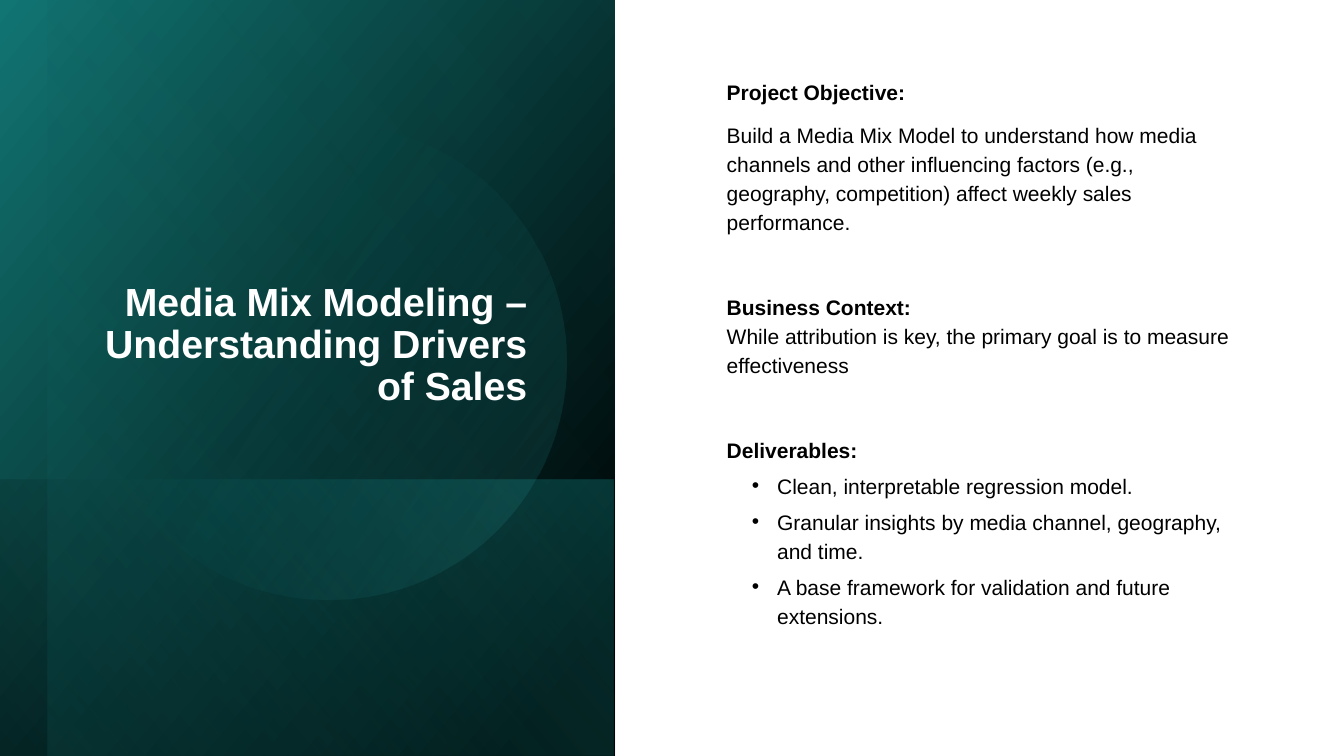
import pptx
import pptx.util
import pptx.dml.color
import pptx.enum.shapes
import pptx.enum.text
import pptx.oxml
import pptx.oxml.ns
import lxml.etree

Pt = pptx.util.Pt
SHAPES = pptx.enum.shapes.MSO_SHAPE
ALIGN = pptx.enum.text.PP_ALIGN
ANCHOR = pptx.enum.text.MSO_ANCHOR
FONT = "Arial"
COLORS = {
    "black": "000000", "white": "FFFFFF", "deep": "117573",
    "teal": "169C9A", "glow": "50E6E4",
}
PANELS = [
    (SHAPES.RECTANGLE, (-50.4, 50.4, 540, 439.2), 90, True, 50,
     [(8, "black", 100), (100, "deep", 100)]),
    (SHAPES.RECTANGLE, (120.24, 221.76, 197.28, 439.2), 90, True, 130,
     [(2, "teal", 29), (100, "black", 30)]),
    (SHAPES.RECTANGLE, (-33.12, 66.96, 540, 405.36), 90, True, 130,
     [(0, "black", 0), (99, "teal", 11)]),
    (SHAPES.OVAL, (64.8, 88.56, 339.84, 339.84), 101.6, False, 290,
     [(39, "teal", 0), (100, "glow", 15)]),
]
LINES = [
    ("Project Objective:", "head", 10),
    ("Build a Media Mix Model to understand how media channels and other "
     "influencing factors (e.g., geography, competition) affect weekly sales "
     "performance.", "text", 10),
    ("Business Context:\vWhile attribution is key, the primary goal is to "
     "measure effectiveness", "head", 40),
    ("Deliverables:", "head", 40),
    ("Clean, interpretable regression model.", "item", 5),
    ("Granular insights by media channel, geography, and time.", "item", 5),
    ("A base framework for validation and future extensions.", "item", 5),
]


def tint(name):
    return pptx.dml.color.RGBColor.from_string(COLORS[name])


def place(shape, box):
    shape.left, shape.top, shape.width, shape.height = map(Pt, box)


def style(run, size, color, bold):
    font = run.font
    font.name, font.size, font.bold = FONT, Pt(size), bold
    font.color.rgb = tint(color)


def add_panel(slide, kind, box, turn, flip, angle, stops):
    panel = slide.shapes.add_shape(kind, *map(Pt, box))
    panel.shadow.inherit = False
    panel.line.fill.background()
    panel.rotation = turn
    if flip:
        panel._element.spPr.find(pptx.oxml.ns.qn("a:xfrm")).set("flipH", "1")
    panel.fill.gradient()
    panel.fill.gradient_angle = 360 - angle
    marks = panel._element.spPr.iter(pptx.oxml.ns.qn("a:gs"))
    for stop, mark, (spot, color, alpha) in zip(
            panel.fill.gradient_stops, marks, stops):
        stop.position = spot / 100
        stop.color.rgb = tint(color)
        if alpha < 100:
            tag = pptx.oxml.ns.qn("a:alpha")
            lxml.etree.SubElement(mark[0], tag).set("val", str(alpha * 1000))


def set_frame(shape, box, anchor):
    place(shape, box)
    frame = shape.text_frame
    frame.word_wrap = True
    frame.auto_size = pptx.enum.text.MSO_AUTO_SIZE.NONE
    frame.vertical_anchor = anchor
    return frame


def set_title(slide, text):
    frame = set_frame(slide.shapes.title, (52.56, 33.84, 331.2, 262.08),
                      ANCHOR.BOTTOM)
    frame.text = text
    para = frame.paragraphs[0]
    para.alignment = ALIGN.RIGHT
    para.line_spacing = 0.9
    style(para.runs[0], 28, "white", True)


def set_bullet(para, kind):
    props = para._p.get_or_add_pPr()
    item = kind == "item"
    props.set("marL", str(Pt(36 if item else 0)))
    props.set("indent", str(Pt(-18 if item else 0)))
    if item:
        face = lxml.etree.SubElement(props, pptx.oxml.ns.qn("a:buFont"))
        face.set("typeface", FONT)
    tag = pptx.oxml.ns.qn("a:buChar" if item else "a:buNone")
    mark = lxml.etree.SubElement(props, tag)
    if item:
        mark.set("char", "•")


def set_body(slide, lines):
    frame = set_frame(slide.placeholders[1], (511.92, 51.12, 383.04, 437.04),
                      ANCHOR.MIDDLE)
    frame.margin_bottom = Pt(40)
    for place_no, (text, kind, gap) in enumerate(lines):
        para = frame.add_paragraph() if place_no else frame.paragraphs[0]
        para.text = text
        para.alignment = ALIGN.LEFT
        para.level = 1 if kind == "item" else 0
        para.line_spacing = 1.15
        para.space_before = Pt(gap)
        para.space_after = Pt(0)
        set_bullet(para, kind)
        for order, run in enumerate(para.runs):
            style(run, 15, "black", kind == "head" and order == 0)


def main():
    deck = pptx.Presentation()
    deck.slide_width, deck.slide_height = Pt(960), Pt(540)
    slide = deck.slides.add_slide(deck.slide_layouts[1])
    for panel in PANELS:
        add_panel(slide, *panel)
    set_title(slide, "Media Mix Modeling – Understanding Drivers of Sales")
    set_body(slide, LINES)
    tree = slide.shapes._spTree
    for holder in list(slide.placeholders):
        tree.append(holder._element)
    deck.save("out.pptx")


if __name__ == "__main__":
    main()
